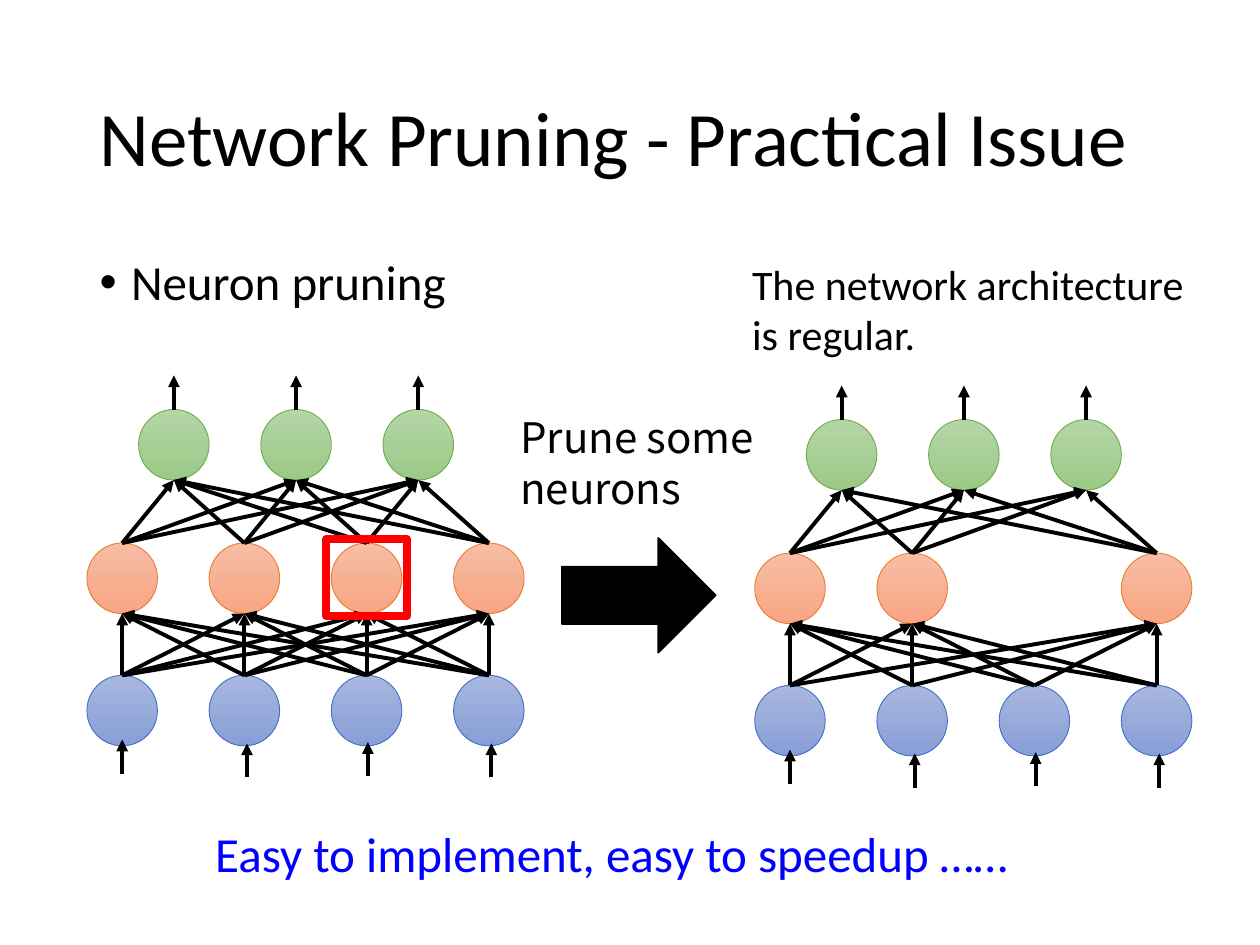
from lxml import etree
from pptx import Presentation
from pptx.dml.color import RGBColor
from pptx.enum.shapes import MSO_CONNECTOR, MSO_SHAPE
from pptx.enum.text import MSO_ANCHOR, PP_ALIGN
from pptx.oxml.ns import qn
from pptx.util import Inches, Pt

STRAIGHT = MSO_CONNECTOR.STRAIGHT
ELLIPSE = MSO_SHAPE.OVAL
RECTANGLE = MSO_SHAPE.RECTANGLE
RIGHT_ARROW = MSO_SHAPE.RIGHT_ARROW
MIDDLE = MSO_ANCHOR.MIDDLE
LEFT = PP_ALIGN.LEFT

COLORS = {"black": "000000", "blue": "0000FF", "red": "FF0000"}
# Each layer: gradient top, gradient bottom, outline
LAYER_COLORS = {
    "input": ("A8B7DF", "889ED7", "4472C4"),
    "hidden": ("F7BDA5", "F8A582", "ED7D31"),
    "output": ("B5D5A7", "9CC987", "70AD47"),
}

NEURON = 0.56
RADIUS = NEURON / 2
NEURON_PITCH = 0.97
OUTPUT_INDENT = 0.41
HIDDEN_DROP = 1.06
INPUT_DROP = 2.11
STUB = 0.27
# Small shifts (right, down) of the arrows entering each input neuron
INPUT_SHIFTS = ((0, 0), (0.02, 0.03), (0.01, 0.02), (0.02, 0.03))


def rgb(value):
    return RGBColor.from_string(value)


def place(shape, left, top, width, height):
    shape.left, shape.top = Inches(left), Inches(top)
    shape.width, shape.height = Inches(width), Inches(height)


def write(shape, text, size, color="black", font="Calibri"):
    frame = shape.text_frame
    frame.word_wrap = True
    para = frame.paragraphs[0]
    para.text = text
    para.alignment = LEFT
    para.font.size = Pt(size)
    para.font.name = font
    para.font.color.rgb = rgb(COLORS[color])
    return para


def add_label(page, area, text, size, color="black", font="Calibri"):
    box = page.shapes.add_textbox(*map(Inches, area))
    write(box, text, size, color, font)


def add_outlined(page, kind, area, line_color, line_width):
    shape = page.shapes.add_shape(kind, *map(Inches, area))
    shape.shadow.inherit = False
    shape.line.color.rgb = rgb(line_color)
    shape.line.width = Pt(line_width)
    return shape


def add_neuron(page, layer, center, top):
    upper, lower, outline = LAYER_COLORS[layer]
    area = (center - RADIUS, top, NEURON, NEURON)
    neuron = add_outlined(page, ELLIPSE, area, outline, 0.5)
    neuron.fill.gradient()
    neuron.fill.gradient_angle = 270
    for stop, color, position in zip(neuron.fill.gradient_stops, (upper, lower), (0, 1)):
        stop.color.rgb = rgb(color)
        stop.position = position


def add_arrow(page, x1, y1, x2, y2):
    arrow = page.shapes.add_connector(STRAIGHT, *map(Inches, (x1, y1, x2, y2)))
    arrow.line.color.rgb = rgb(COLORS["black"])
    arrow.line.width = Pt(2.25)
    properties = arrow._element.spPr
    etree.SubElement(properties.find(qn("a:ln")), qn("a:tailEnd"), type="triangle")
    etree.SubElement(properties, qn("a:effectLst"))


def add_network(page, left, top, hidden_columns):
    columns = [left + RADIUS + i * NEURON_PITCH for i in range(4)]
    layers = {
        "input": (columns, top + INPUT_DROP),
        "hidden": ([columns[i] for i in hidden_columns], top + HIDDEN_DROP),
        "output": ([x + OUTPUT_INDENT for x in columns[:3]], top),
    }

    # Neurons
    for layer, (centers, layer_top) in layers.items():
        for center in centers:
            add_neuron(page, layer, center, layer_top)

    # Full connections between neighbouring layers
    for lower, upper in (("input", "hidden"), ("hidden", "output")):
        starts, start_y = layers[lower]
        ends, end_y = layers[upper]
        for start in starts:
            for end in ends:
                add_arrow(page, start, start_y, end, end_y + NEURON)

    # Arrows into the inputs and out of the outputs
    for x, (right, down) in zip(columns, INPUT_SHIFTS):
        y = top + INPUT_DROP + 0.78 + down
        add_arrow(page, x + right, y, x + right, y - STUB)
    for x in layers["output"][0]:
        add_arrow(page, x, top, x, top - STUB)


def add_headings(page):
    title, body = page.placeholders
    place(title, 0.69, 0.4, 8.62, 1.45)
    title.text_frame.vertical_anchor = MIDDLE
    write(title, "Network Pruning - Practical Issue", 44).line_spacing = 0.9

    place(body, 0.69, 2, 8.62, 4.76)
    para = write(body, "Neuron pruning", 28)
    para.line_spacing = 0.9
    para.space_before = Pt(10)
    properties = para._p.get_or_add_pPr()
    properties.set("marL", str(Inches(0.25)))
    properties.set("indent", str(Inches(-0.25)))


def main():
    deck = Presentation()
    deck.slide_width, deck.slide_height = Inches(10), Inches(7.5)
    page = deck.slides.add_slide(deck.slide_layouts[1])
    add_headings(page)

    # Full network, with the neuron to prune framed
    add_network(page, 0.69, 3.25, (0, 1, 2, 3))
    frame = add_outlined(page, RECTANGLE, (2.59, 4.28, 0.64, 0.61), COLORS["red"], 4.5)
    frame.fill.background()

    # Pruning step
    step = add_outlined(page, RIGHT_ARROW, (4.46, 4.27, 1.22, 0.91), COLORS["black"], 1)
    step.fill.solid()
    step.fill.fore_color.rgb = rgb(COLORS["black"])
    add_label(page, (4.03, 3.22, 2.25, 0.91), "Prune some neurons", 24,
              font="Noto Sans CJK SC")

    # Pruned network
    add_network(page, 5.99, 3.33, (0, 1, 3))
    add_label(page, (5.87, 2, 3.68, 0.91), "The network architecture is regular.", 24)

    # Conclusion
    add_label(page, (1.61, 6.49, 6.99, 0.57), "Easy to implement, easy to speedup ……", 28, "blue")

    deck.save("out.pptx")


if __name__ == "__main__":
    main()
